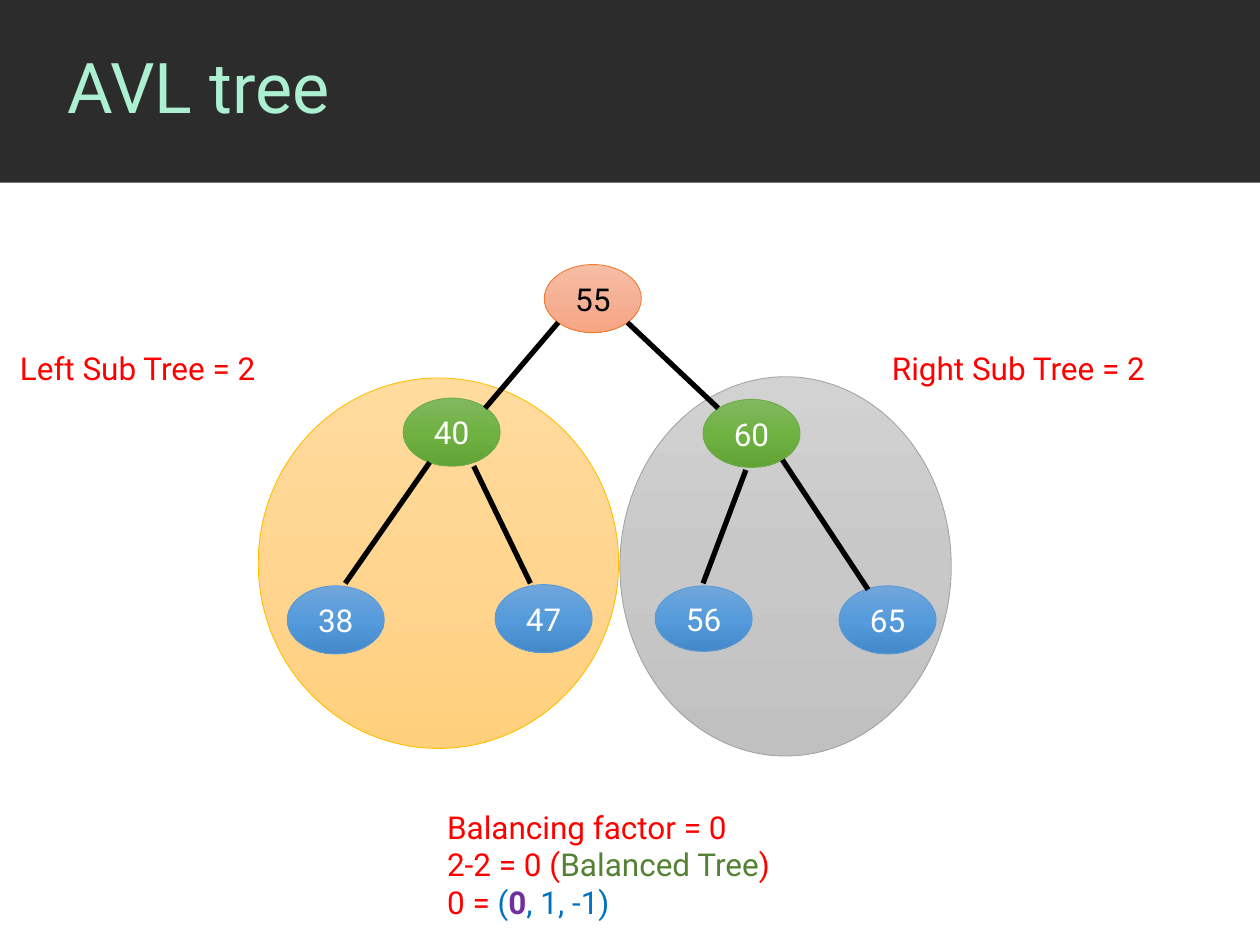
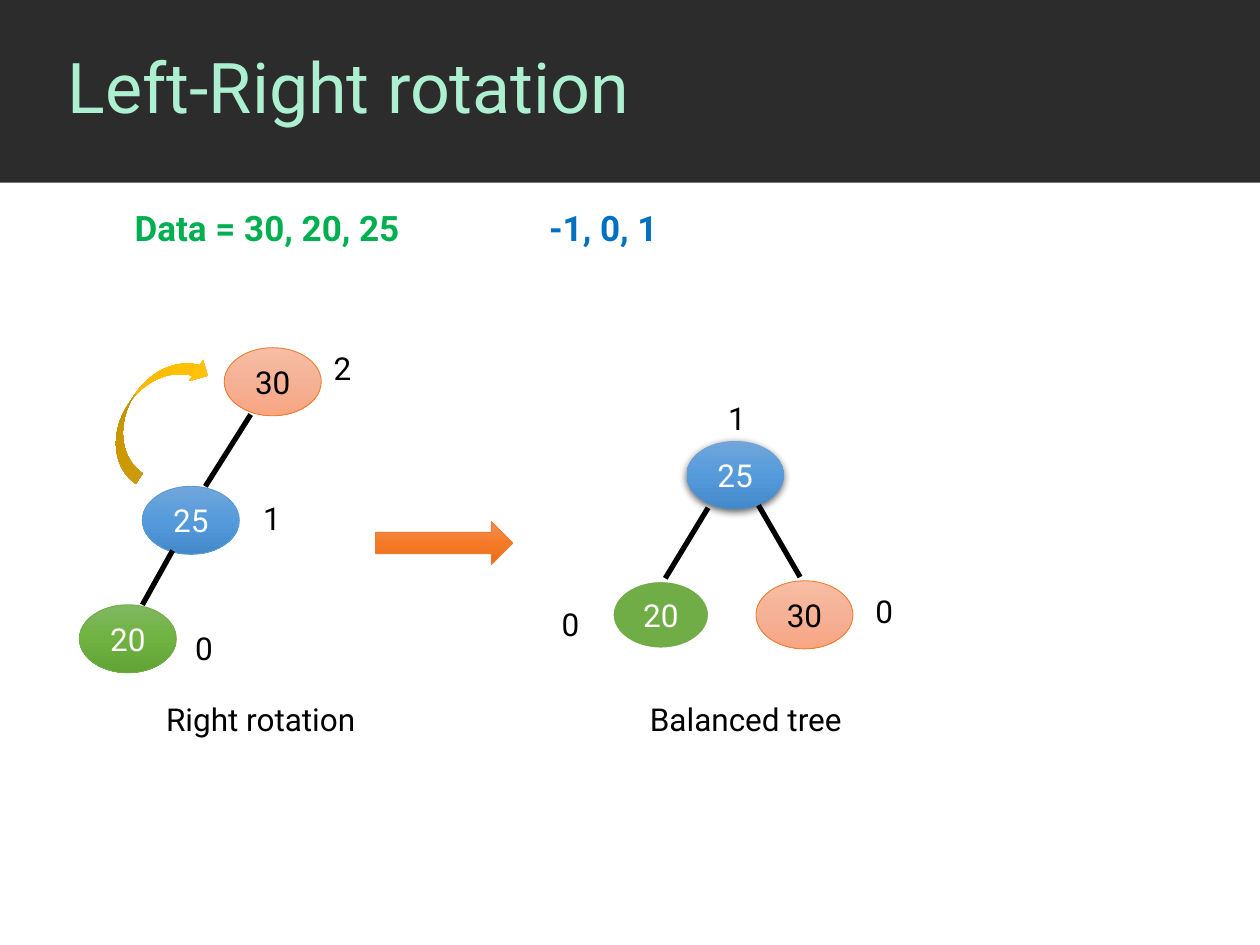
from dataclasses import dataclass, replace
from typing import NamedTuple

from lxml.etree import SubElement
from pptx import Presentation
from pptx.dml.color import RGBColor
from pptx.enum.shapes import MSO_CONNECTOR, MSO_SHAPE
from pptx.enum.text import MSO_ANCHOR, PP_ALIGN
from pptx.oxml.ns import qn
from pptx.util import Inches, Pt


@dataclass(frozen=True)
class Theme:
    font: str = "Roboto"
    band: str = "2C2C2C"
    title: str = "ADF0D1"
    black: str = "000000"
    white: str = "FFFFFF"
    red: str = "FF0000"
    blue: str = "0070C0"
    purple: str = "7030A0"
    dark_green: str = "548235"
    bright_green: str = "00B050"
    title_size: float = 40
    data_size: float = 20
    body_size: float = 18
    edge_width: float = 3


THEME = Theme()


@dataclass(frozen=True)
class Style:
    """One colour fills solid; several run evenly from top to bottom."""
    fill: tuple[str, ...]
    line: str | None = None
    line_width: float = 0.5
    ink: str = THEME.white
    shadow: bool = False


ORANGE = Style(("F7BDA5", "F5B196", "F8A582"), "ED7D31", ink=THEME.black)
GREEN = Style(("81B861", "6FB242", "62A336"), "70AD47")
BLUE = Style(("71A6DB", "559BDB", "448ACA"), "5B9BD5")
FLAT_GREEN = Style(("70AD47",), THEME.white, 1.5)
RAISED_BLUE = replace(BLUE, line=None, shadow=True)
LEFT_SUBTREE = Style(("FFDB9E", "FFD590", "FFD07C"), "FFC000")
RIGHT_SUBTREE = Style(("D2D2D2", "C8C8C8", "C0C0C0"), "A5A5A5")
STEP_ARROW = Style(("F18C57", "F67B28", "E56C19"), "ED7D31")
TURN_ARROW = Style(("FFC64B", "FFC000", "E3AB00"))
BAND = Style((THEME.band,))


class Box(NamedTuple):
    left: float
    top: float
    width: float
    height: float


class Node(NamedTuple):
    key: str
    left: float
    top: float
    style: Style
    height: float = 0.54


class Edge(NamedTuple):
    x1: float
    y1: float
    x2: float
    y2: float


class Span(NamedTuple):
    text: str
    color: str | None = None
    bold: bool | None = None


class Label(NamedTuple):
    text: str
    left: float
    top: float
    width: float = 0.3


def write_text(tf, *lines, size: float = THEME.body_size, color: str = THEME.black,
               bold: bool = False, align=PP_ALIGN.LEFT, anchor=MSO_ANCHOR.TOP,
               spacing: float = 1.0, tab: float | None = None, wrap: bool = True) -> None:
    """Fill a frame; each line is a string or a list of spans."""
    tf.word_wrap = wrap
    tf.vertical_anchor = anchor
    for i, line in enumerate(lines):
        p = tf.add_paragraph() if i else tf.paragraphs[0]
        p.alignment = align
        p.line_spacing = spacing
        if tab is not None:
            tabs = SubElement(p._p.get_or_add_pPr(), qn("a:tabLst"))
            SubElement(tabs, qn("a:tab"), pos=str(Inches(tab)), algn="l")
        for span in [Span(line)] if isinstance(line, str) else line:
            r = p.add_run()
            r.text = span.text
            r.font.name = THEME.font
            r.font.size = Pt(size)
            r.font.bold = bold if span.bold is None else span.bold
            r.font.color.rgb = RGBColor.from_string(span.color or color)


def add_text(s, box: Box, *lines, **text_format) -> None:
    sp = s.shapes.add_textbox(*map(Inches, box))
    write_text(sp.text_frame, *lines, **text_format)


def paint(sp, style: Style) -> None:
    if len(style.fill) == 1:
        sp.fill.solid()
        sp.fill.fore_color.rgb = RGBColor.from_string(style.fill[0])
    else:
        sp.fill.gradient()
        sp.fill.gradient_angle = 270
        stops = sp._element.spPr.find(".//" + qn("a:gsLst"))
        stops.clear()
        for i, color in enumerate(style.fill):
            position = 100000 * i // (len(style.fill) - 1)
            stop = SubElement(stops, qn("a:gs"), pos=str(position))
            SubElement(stop, qn("a:srgbClr"), val=color)
    if style.line:
        sp.line.color.rgb = RGBColor.from_string(style.line)
        sp.line.width = Pt(style.line_width)
    else:
        sp.line.fill.background()
    sp.shadow.inherit = False
    if style.shadow:
        effects = sp._element.spPr.find(qn("a:effectLst"))
        shadow = SubElement(effects, qn("a:outerShdw"), blurRad=str(Pt(4.5)),
                            dist=str(Pt(1.5)), dir="5400000", rotWithShape="0")
        color = SubElement(shadow, qn("a:srgbClr"), val=THEME.black)
        SubElement(color, qn("a:alpha"), val="63000")


def add_shape(s, kind, box: Box, style: Style):
    sp = s.shapes.add_shape(kind, *map(Inches, box))
    paint(sp, style)
    return sp


def add_nodes(s, nodes: list[Node]) -> None:
    for node in nodes:
        box = Box(node.left, node.top, 0.77, node.height)
        sp = add_shape(s, MSO_SHAPE.OVAL, box, node.style)
        write_text(sp.text_frame, node.key, color=node.style.ink,
                   align=PP_ALIGN.CENTER, anchor=MSO_ANCHOR.MIDDLE)


def add_edges(s, edges: list[Edge]) -> None:
    for edge in edges:
        line = s.shapes.add_connector(MSO_CONNECTOR.STRAIGHT, *map(Inches, edge))
        line.line.color.rgb = RGBColor.from_string(THEME.black)
        line.line.width = Pt(THEME.edge_width)
        SubElement(line._element.spPr, qn("a:effectLst"))


def add_labels(s, labels: list[Label], **text_format) -> None:
    for label in labels:
        add_text(s, Box(label.left, label.top, label.width, 0.4), label.text, **text_format)


def add_titled_slide(prs, title: str):
    s = prs.slides.add_slide(prs.slide_layouts[6])
    add_shape(s, MSO_SHAPE.RECTANGLE, Box(0, 0, 10, 1.45), BAND)
    add_text(s, Box(0.44, 0, 9.56, 1.44), title, size=THEME.title_size,
             color=THEME.title, anchor=MSO_ANCHOR.MIDDLE, spacing=0.9)
    return s


def build_avl_tree(prs) -> None:
    s = add_titled_slide(prs, "AVL tree")
    add_shape(s, MSO_SHAPE.OVAL, Box(4.92, 2.99, 2.63, 3.01), RIGHT_SUBTREE)
    add_shape(s, MSO_SHAPE.OVAL, Box(2.05, 3, 2.86, 2.94), LEFT_SUBTREE)
    add_nodes(s, [
        Node("55", 4.32, 2.1, ORANGE),
        Node("40", 3.2, 3.16, GREEN),
        Node("60", 5.58, 3.17, GREEN),
        Node("38", 2.28, 4.65, BLUE),
        Node("47", 3.93, 4.64, BLUE),
        Node("56", 5.2, 4.65, BLUE, 0.52),
        Node("65", 6.66, 4.65, BLUE),
    ])
    add_edges(s, [
        Edge(4.43, 2.56, 3.85, 3.24),
        Edge(4.98, 2.56, 5.7, 3.24),
        Edge(3.41, 3.67, 2.74, 4.63),
        Edge(3.76, 3.7, 4.21, 4.63),
        Edge(5.92, 3.73, 5.58, 4.63),
        Edge(6.21, 3.65, 6.89, 4.68),
    ])
    add_labels(s, [
        Label("Left Sub Tree = 2", 0.06, 2.72, 2.2),
        Label("Right Sub Tree = 2", 6.98, 2.72, 2.49),
    ], color=THEME.red)
    add_text(s, Box(3.45, 6.36, 3, 1.01),
             "Balancing factor = 0",
             [Span("2-2 = 0 ("), Span("Balanced Tree", THEME.dark_green), Span(")")],
             [Span("0 = "), Span("(", THEME.blue), Span("0", THEME.purple, True),
              Span(", 1, -1)", THEME.blue)],
             color=THEME.red)


def build_left_right_rotation(prs) -> None:
    s = add_titled_slide(prs, "Left-Right rotation")
    add_text(s, Box(0.97, 1.59, 4.63, 0.44),
             [Span("Data = 30, 20, 25\t"), Span("-1, 0, 1", THEME.blue)],
             size=THEME.data_size, color=THEME.bright_green, bold=True, tab=3.29)
    add_nodes(s, [
        Node("30", 1.78, 2.76, ORANGE),
        Node("25", 1.13, 3.86, BLUE),
        Node("20", 0.63, 4.8, GREEN),
        Node("25", 5.45, 3.5, RAISED_BLUE),
        Node("20", 4.86, 4.61, FLAT_GREEN),
        Node("30", 6, 4.61, ORANGE),
    ])
    add_edges(s, [
        Edge(1.99, 3.29, 1.63, 3.86),
        Edge(1.37, 4.37, 1.13, 4.8),
        Edge(5.62, 4.03, 5.28, 4.59),
        Edge(6.02, 4.01, 6.35, 4.58),
    ])
    turn = add_shape(s, MSO_SHAPE.CURVED_UP_ARROW, Box(0.66, 3.06, 1.13, 0.4), TURN_ARROW)
    turn.rotation = 303.6
    turn._element.spPr.find(qn("a:xfrm")).set("flipV", "1")
    add_shape(s, MSO_SHAPE.RIGHT_ARROW, Box(2.98, 4.14, 1.09, 0.34), STEP_ARROW)
    add_labels(s, [
        Label("2", 2.55, 2.72),
        Label("1", 1.99, 3.91),
        Label("0", 1.45, 4.94),
        Label("1", 5.68, 3.12),
        Label("0", 4.36, 4.75),
        Label("0", 6.85, 4.65),
        Label("Balanced tree", 5.06, 5.51, 1.83),
    ])
    add_labels(s, [Label("Right rotation", 1.22, 5.51, 1.7)], wrap=False)


def main() -> None:
    prs = Presentation()
    prs.slide_width = Inches(10)
    prs.slide_height = Inches(7.5)
    build_avl_tree(prs)
    build_left_right_rotation(prs)
    prs.save("out.pptx")


if __name__ == "__main__":
    main()
